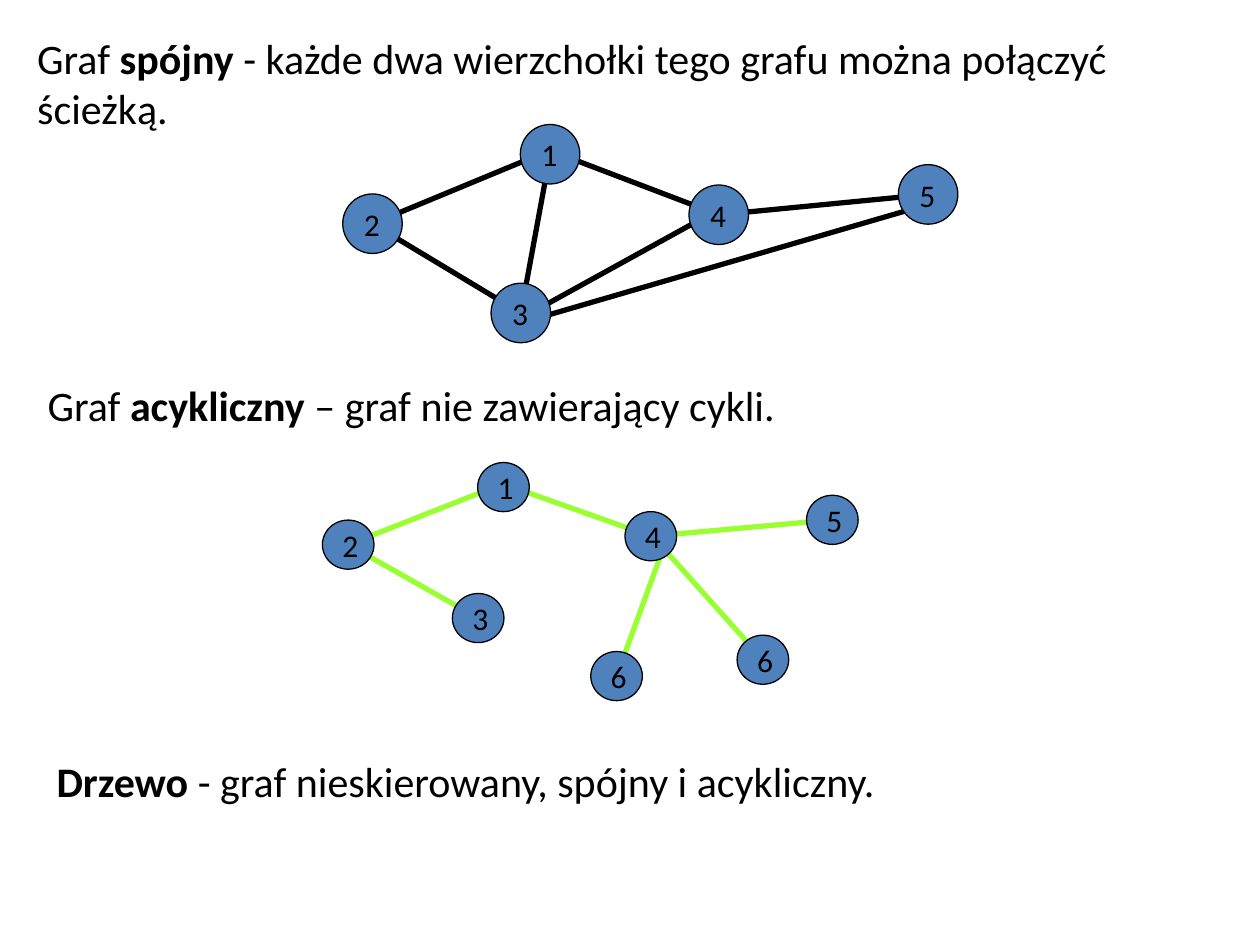
"""Builds a slide that defines connected graphs, acyclic graphs and trees."""
from lxml import etree
from pptx import Presentation
from pptx.dml.color import RGBColor
from pptx.enum.shapes import MSO_CONNECTOR, MSO_SHAPE
from pptx.enum.text import MSO_ANCHOR, MSO_AUTO_SIZE, PP_ALIGN
from pptx.oxml.ns import qn
from pptx.util import Cm, Pt

LINE = MSO_CONNECTOR.STRAIGHT
OVAL = MSO_SHAPE.OVAL
MIDDLE = MSO_ANCHOR.MIDDLE
LEFT = PP_ALIGN.LEFT
GROW = MSO_AUTO_SIZE.SHAPE_TO_FIT_TEXT
BLACK = RGBColor(0x00, 0x00, 0x00)
BLUE = RGBColor(0x4F, 0x81, 0xBD)
GREEN = RGBColor(0x99, 0xFF, 0x33)

CONNECTED_NODES = [("1", 11.09, 3.11), ("4", 14.49, 4.33), ("3", 10.5, 6.31),
                   ("2", 7.51, 4.51), ("5", 18.71, 3.92)]
CONNECTED_EDGES = [(0, 2, (0, 0), (0, 0)), (3, 2, (0, 0), (0, 0)),
                   (1, 4, (0, 0), (0, 0)), (3, 0, (0, 0), (-0.2, 0)),
                   (1, 2, (-0.2, 0), (0.2, 0)), (0, 1, (0.2, 0), (0, 0)),
                   (4, 2, (0, 0.2), (0, 0.2))]
ACYCLIC_NODES = [("1", 10.15, 9.82), ("3", 9.64, 12.46), ("2", 7.02, 10.98),
                 ("5", 16.78, 10.48), ("4", 13.12, 10.81),
                 ("6", 15.38, 13.3), ("6", 12.43, 13.63)]
ACYCLIC_EDGES = [(2, 1, (0, 0), (0, 0)), (4, 3, (0, 0), (0, 0)),
                 (2, 0, (0, 0), (-0.18, 0)), (0, 4, (0.18, 0), (0, 0)),
                 (4, 5, (0.18, 0.16), (0, 0)), (6, 4, (0, 0), (0.34, 0))]


class GraphSlide:
    """Holds the text style and the current slide."""

    font = "Calibri"

    def __init__(self, s):
        self.s = s

    def run(self, p, text, size, bold=None):
        r = p.add_run()
        r.text = text
        r.font.name = self.font
        r.font.size = Pt(size)
        r.font.bold = bold
        r.font.color.rgb = BLACK

    def definition(self, x, y, w, h, runs):
        tf = self.s.shapes.add_textbox(Cm(x), Cm(y), Cm(w), Cm(h)).text_frame
        tf.word_wrap = True
        tf.auto_size = GROW
        for text, bold in runs:
            self.run(tf.paragraphs[0], text, 24, bold)

    def edge(self, group, start, end, color):
        cn = group.shapes.add_connector(LINE, *map(Cm, start + end))
        cn.line.color.rgb = color
        cn.line.width = Pt(3)
        etree.SubElement(cn._element.spPr, qn("a:effectLst"))

    def node(self, group, label, x, y, w, h):
        sp = group.shapes.add_shape(OVAL, Cm(x - w / 2), Cm(y - h / 2), Cm(w), Cm(h))
        sp.shadow.inherit = False
        sp.fill.solid()
        sp.fill.fore_color.rgb = BLUE
        sp.line.color.rgb = BLACK
        sp.line.width = Pt(0.75)
        tf = sp.text_frame
        tf.word_wrap = False
        tf.vertical_anchor = MIDDLE
        p = tf.paragraphs[0]
        p.alignment = LEFT
        self.run(p, label, 18)

    def graph(self, nodes, edges, w, h, color):
        group = self.s.shapes.add_group_shape()
        for a, b, (ax, ay), (bx, by) in edges:
            _, x1, y1 = nodes[a]
            _, x2, y2 = nodes[b]
            self.edge(group, (x1 + ax, y1 + ay), (x2 + bx, y2 + by), color)
        for label, x, y in nodes:
            self.node(group, label, x, y, w, h)


def main():
    prs = Presentation()
    prs.slide_width, prs.slide_height = Cm(25.4), Cm(19.05)
    slide = GraphSlide(prs.slides.add_slide(prs.slide_layouts[6]))
    slide.definition(0.5, 0.53, 24, 2.31, [
        ("Graf ", False), ("spójny ", True),
        ("- każde dwa wierzchołki tego grafu można połączyć ścieżką.", False)])
    slide.graph(CONNECTED_NODES, CONNECTED_EDGES, 1.2, 1.2, BLACK)
    slide.graph(ACYCLIC_NODES, ACYCLIC_EDGES, 1.04, 0.99, GREEN)
    slide.definition(0.71, 7.52, 24, 1.27, [
        ("Graf ", False), ("acykliczny", True),
        (" – graf nie zawierający cykli.", False)])
    slide.definition(0.89, 15.11, 23.19, 1.27, [
        ("Drzewo", True), (" - graf nieskierowany, spójny i acykliczny.", False)])
    prs.save("out.pptx")


if __name__ == "__main__":
    main()
